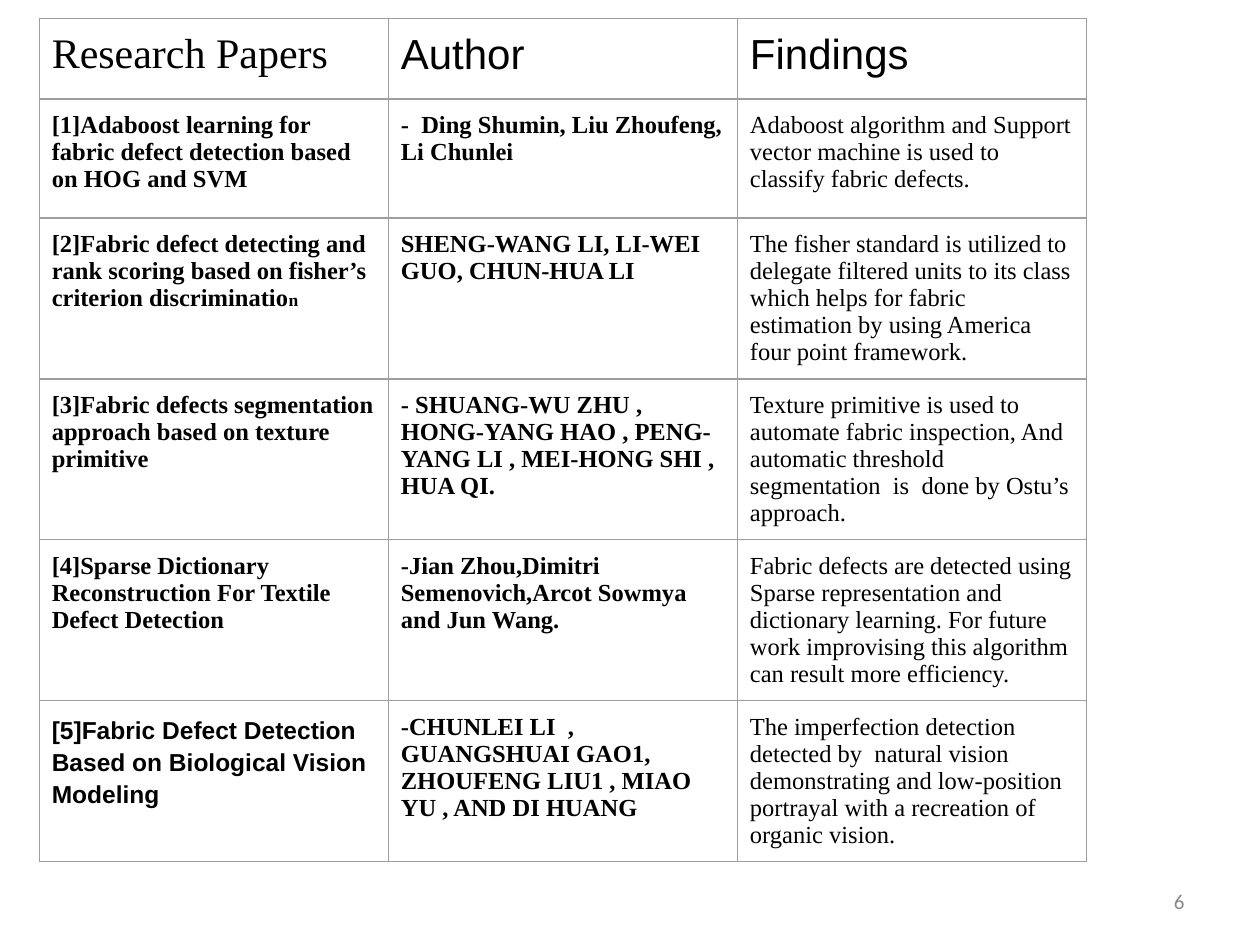
from lxml import etree
from pptx import Presentation
from pptx.dml.color import RGBColor
from pptx.enum.text import MSO_ANCHOR, PP_ALIGN
from pptx.oxml.ns import qn
from pptx.util import Pt

MIDDLE, TOP = MSO_ANCHOR.MIDDLE, MSO_ANCHOR.TOP
RIGHT = PP_ALIGN.RIGHT

# Content
HEADS = ["Research Papers", "Author", "Findings"]
PAPERS = [
    ("[1]Adaboost learning for fabric defect detection based on HOG and SVM",
     "-  Ding Shumin, Liu Zhoufeng, Li Chunlei",
     "Adaboost algorithm and Support vector machine is used to classify "
     "fabric defects."),
    ("[2]Fabric defect detecting and rank scoring based on fisher’s "
     "criterion discrimination",
     "SHENG-WANG LI, LI-WEI GUO, CHUN-HUA LI",
     "The fisher standard is utilized to delegate filtered units to its class "
     "which helps for fabric estimation by using America four point framework."),
    ("[3]Fabric defects segmentation approach based on texture primitive",
     "- SHUANG-WU ZHU , HONG-YANG HAO , PENG-YANG LI , MEI-HONG SHI , HUA QI.",
     "Texture primitive is used to automate fabric inspection, And automatic "
     "threshold segmentation  is  done by Ostu’s approach."),
    ("[4]Sparse Dictionary Reconstruction For Textile Defect Detection",
     "-Jian Zhou,Dimitri Semenovich,Arcot Sowmya and Jun Wang.",
     "Fabric defects are detected using Sparse representation and dictionary "
     "learning. For future work improvising this algorithm can result more "
     "efficiency."),
    ("[5]Fabric Defect Detection Based on Biological Vision Modeling",
     "-CHUNLEI LI  , GUANGSHUAI GAO1, ZHOUFENG LIU1 , MIAO YU , AND DI HUANG",
     "The imperfection detection detected by  natural vision demonstrating and "
     "low-position portrayal with a recreation of organic vision."),
]
PAGE = "6"

# Theme and layout
THEME = {"ink": "000000", "rule": "9E9E9E", "mute": "888888",
         "serif": "Times New Roman", "sans": "Arial", "num": "Calibri",
         "head": 24, "body": 14, "tiny": 10, "page": 12}
LEFT, UP, WIDE = 22.4, 10.6, 199.5
HIGH = [46, 68] + [92] * 4
PAD, RULE = 7.2, 0.75


def put(obj, **vals):
    for key, val in vals.items():
        setattr(obj, key, val)


def write(para, text, face, size, bold=False, ink="ink"):
    run = para.add_run()
    run.text = text
    put(run.font, name=THEME[face], size=Pt(THEME[size]), bold=bold)
    run.font.color.rgb = RGBColor.from_string(THEME[ink])


def edge(cell):
    """Draw the four cell borders; they must come before the fill."""
    props = cell._tc.get_or_add_tcPr()
    for i, side in enumerate("LRTB"):
        line = etree.Element(qn("a:ln" + side), w=str(Pt(RULE)))
        fill = etree.SubElement(line, qn("a:solidFill"))
        etree.SubElement(fill, qn("a:srgbClr"), val=THEME["rule"])
        props.insert(i, line)


deck = Presentation()
put(deck, slide_width=Pt(720), slide_height=Pt(540))
slide = deck.slides.add_slide(deck.slide_layouts[6])

# Table grid
rows = [HEADS] + PAPERS
grid = slide.shapes.add_table(len(rows), len(HEADS), Pt(LEFT), Pt(UP),
                              Pt(WIDE * len(HEADS)), Pt(sum(HIGH))).table
put(grid, first_row=False, horz_banding=False)
for col in grid.columns:
    col.width = Pt(WIDE)
for row, high in zip(grid.rows, HIGH):
    row.height = Pt(high)

# Table text
for r, row in enumerate(rows):
    for c, text in enumerate(row):
        cell = grid.cell(r, c)
        put(cell, margin_left=Pt(PAD), margin_right=Pt(PAD),
            margin_top=Pt(PAD), margin_bottom=Pt(PAD), vertical_anchor=TOP)
        cell.fill.background()
        edge(cell)
        para = cell.text_frame.paragraphs[0]
        if r == 0:
            write(para, text, "sans" if c else "serif", "head")
        elif (r, c) == (2, 0):  # the last letter is smaller
            write(para, text[:-1], "serif", "body", True)
            write(para, text[-1], "serif", "tiny", True)
        elif (r, c) == (5, 0):
            para.line_spacing = 1.15
            write(para, text, "sans", "body", True)
        else:
            write(para, text, "serif", "body", c < 2)

# Page number
box = slide.shapes.add_textbox(Pt(516), Pt(500.5), Pt(168), Pt(28.8))
put(box.text_frame, word_wrap=True, vertical_anchor=MIDDLE)
para = box.text_frame.paragraphs[0]
para.alignment = RIGHT
write(para, PAGE, "num", "page", ink="mute")

deck.save("out.pptx")
